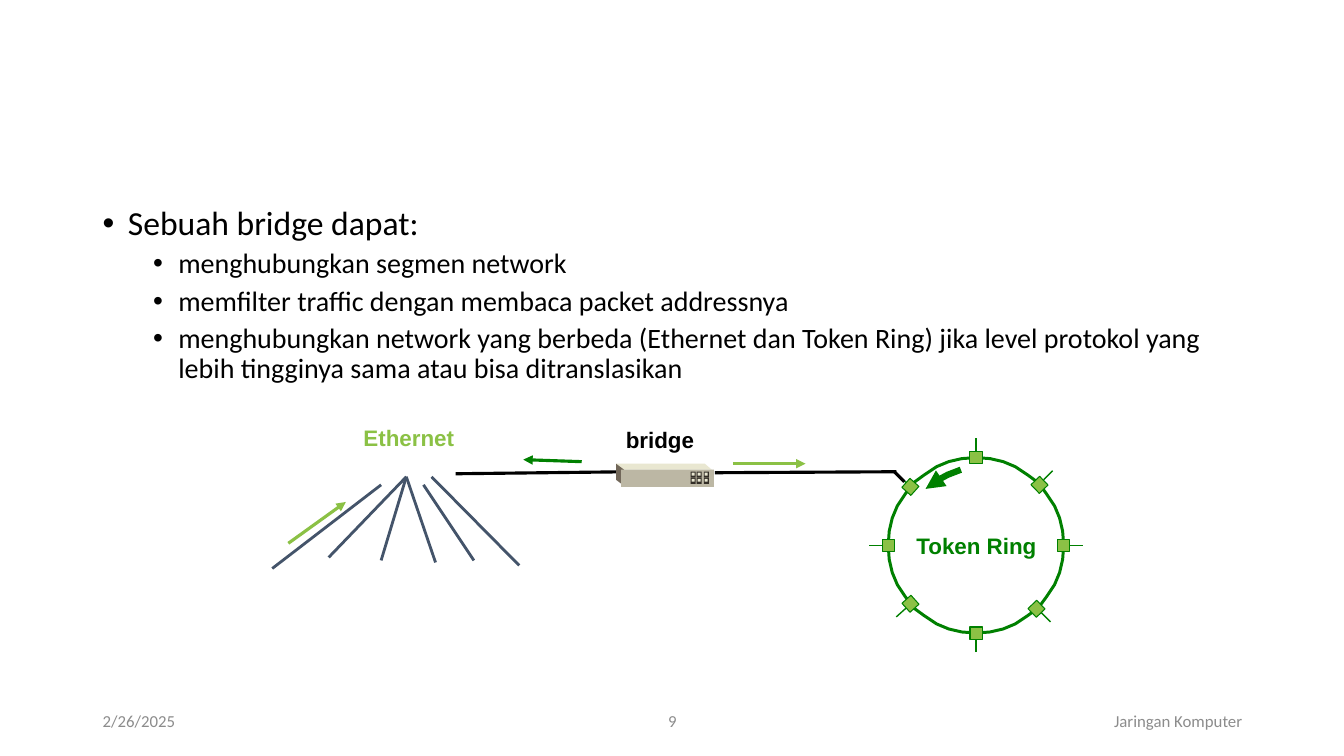
import math

import lxml.etree
import pptx
import pptx.dml.color
import pptx.enum.shapes
import pptx.enum.text
import pptx.oxml.ns
import pptx.util

PX = 9144  # 100 px to the inch
THEME = {
    "black": "000000", "gray": "8C8C8C", "slate": "44546A",
    "lime": "8BC145", "green": "008000",
    "top": "E9E7D1", "side": "716759", "front": "BCB7A4", "port": "322D26",
    "body_font": "Calibri", "label_font": "Arial",
    "lead": 24, "bullet": 20, "label": 16, "footer": 12,
}
qn = pptx.oxml.ns.qn
ALIGN = pptx.enum.text.PP_ALIGN
SHAPE = pptx.enum.shapes.MSO_SHAPE


def style(sp, fill=None, line=None, width=1, arrow=False):
    """Set fill and line by theme colour, drop the shadow, add an end arrow if asked."""
    if hasattr(sp, "fill"):
        sp.shadow.inherit = False
        if fill:
            sp.fill.solid()
            sp.fill.fore_color.rgb = pptx.dml.color.RGBColor.from_string(THEME[fill])
        else:
            sp.fill.background()
    else:
        lxml.etree.SubElement(sp._element.spPr, qn("a:effectLst"))
    if line:
        sp.line.color.rgb = pptx.dml.color.RGBColor.from_string(THEME[line])
        sp.line.width = pptx.util.Pt(width)
    else:
        sp.line.fill.background()
    if arrow:
        ln = sp.line._get_or_add_ln()
        lxml.etree.SubElement(ln, qn("a:tailEnd"), type="triangle")


def write(p, text, font, size, color, bold=False):
    p.text = text
    f = p.runs[0].font
    f.name, f.size, f.bold = THEME[font], pptx.util.Pt(THEME[size]), bold
    f.color.rgb = pptx.dml.color.RGBColor.from_string(THEME[color])


prs = pptx.Presentation()
prs.slide_width, prs.slide_height = 1333 * PX, 750 * PX
s = prs.slides.add_slide(prs.slide_layouts[6])

# Bullets
tf = s.shapes.add_textbox(92 * PX, 200 * PX, 1150 * PX, 476 * PX).text_frame
tf.word_wrap = True
bullets = [
    (0, "Sebuah bridge dapat:"),
    (1, "menghubungkan segmen network"),
    (1, "memfilter traffic dengan membaca packet addressnya"),
    (1, "menghubungkan network yang berbeda (Ethernet dan Token Ring) jika level "
        "protokol yang lebih tingginya sama atau bisa ditranslasikan"),
]
for i, (level, text) in enumerate(bullets):
    p = tf.add_paragraph() if i else tf.paragraphs[0]
    pPr = p._p.get_or_add_pPr()
    pPr.set("marL", str((25 + 50 * level) * PX))
    pPr.set("indent", str(-25 * PX))
    lxml.etree.SubElement(pPr, qn("a:buFont"), typeface="Arial")
    lxml.etree.SubElement(pPr, qn("a:buChar"), char="•")
    p.level = level
    p.line_spacing = 0.9
    if i:
        p.space_before = pptx.util.Pt(5)
    write(p, text, "body_font", "bullet" if level else "lead", "black")

# Footer
for x, w, align, text in [
    (92, 300, ALIGN.LEFT, "2/26/2025"),
    (442, 450, ALIGN.CENTER, "9"),
    (942, 300, ALIGN.RIGHT, "Jaringan Komputer"),
]:
    tf = s.shapes.add_textbox(x * PX, 695 * PX, w * PX, 40 * PX).text_frame
    tf.word_wrap = True
    tf.vertical_anchor = pptx.enum.text.MSO_ANCHOR.MIDDLE
    tf.paragraphs[0].alignment = align
    write(tf.paragraphs[0], text, "body_font", "footer", "gray")

# Cables, Ethernet branches, traffic arrows and station ticks
lines = [
    (624, 468, 452, 470, "black", 2.25, False),
    (889, 468, 709, 469, "black", 2.25, False),
    (270, 564, 378, 481, "slate", 2, False),
    (515, 561, 428, 473, "slate", 2, False),
    (326, 553, 403, 473, "slate", 2, False),
    (470, 556, 420, 481, "slate", 2, False),
    (378, 556, 403, 473, "slate", 2, False),
    (432, 558, 403, 473, "slate", 2, False),
    (286, 539, 343, 498, "lime", 2.25, True),
    (577, 458, 519, 456, "green", 2.25, True),
    (727, 460, 799, 460, "lime", 2.25, True),
]
cx, cy, radius = 968, 541, 87
station_angles = (0, 46, 90, 138, 180, 222, 270, 316)
for angle in station_angles:
    dx, dy = math.cos(math.radians(angle)), math.sin(math.radians(angle))
    lines.append((round(cx + 106 * dx), round(cy + 106 * dy),
                  round(cx + 93 * dx), round(cy + 93 * dy), "green", 1, False))
# The cable's last leg replaces the look of the tick at the upper left station
lines.append((887, 468, 897, 478, "black", 2.25, False))
for x1, y1, x2, y2, color, width, arrow in lines:
    c = s.shapes.add_connector(pptx.enum.shapes.MSO_CONNECTOR.STRAIGHT,
                               x1 * PX, y1 * PX, x2 * PX, y2 * PX)
    style(c, line=color, width=width, arrow=arrow)

# Bridge faces, token ring outline and token arrow
ring = [(cx + radius * math.cos(math.radians(a)), cy + radius * math.sin(math.radians(a)))
        for a in range(0, 360, 9)]
outlines = [
    ([(706, 466), (618, 466), (611, 460), (699, 460)], True, "top", None, 1, False),
    ([(619, 466), (619, 482), (611, 476), (611, 460)], True, "side", None, 1, False),
    (ring, True, None, "green", 2.13, False),
    ([(953, 466), (940, 471), (929, 477), (918, 485)], False, None, "green", 4.5, True),
]
for points, closed, fill, line, width, arrow in outlines:
    fb = s.shapes.build_freeform(*points[0], scale=PX)
    fb.add_line_segments(points[1:], close=closed)
    style(fb.convert_to_shape(), fill, line, width, arrow)

# Bridge front with its ports, then the ring stations
boxes = [(616, 466, 92, 17, "front", None, 0)]
for col in range(3):
    for row in range(2):
        x, y = 685 + 13 * col // 2, 468 + 6 * row
        boxes += [(x, y, 5, 6, "port", None, 0), (x + 1, y + 1, 3, 3, "top", None, 0)]
for angle in station_angles:
    x = round(cx + radius * math.cos(math.radians(angle))) - 6
    y = round(cy + radius * math.sin(math.radians(angle))) - 6
    boxes.append((x, y, 12, 12, "lime", "green", angle))
for x, y, w, h, fill, line, angle in boxes:
    sp = s.shapes.add_shape(SHAPE.RECTANGLE, x * PX, y * PX, w * PX, h * PX)
    sp.rotation = angle
    style(sp, fill, line, 0.75)

# Network labels
for x, y, w, text, color in [
    (327, 416, 157, "Ethernet", "lime"),
    (602, 418, 105, "bridge", "black"),
    (890, 523, 157, "Token Ring", "green"),
]:
    tf = s.shapes.add_textbox(x * PX, y * PX, w * PX, 37 * PX).text_frame
    tf.word_wrap = True
    tf.paragraphs[0].alignment = ALIGN.CENTER
    write(tf.paragraphs[0], text, "label_font", "label", color, True)

prs.save("out.pptx")
